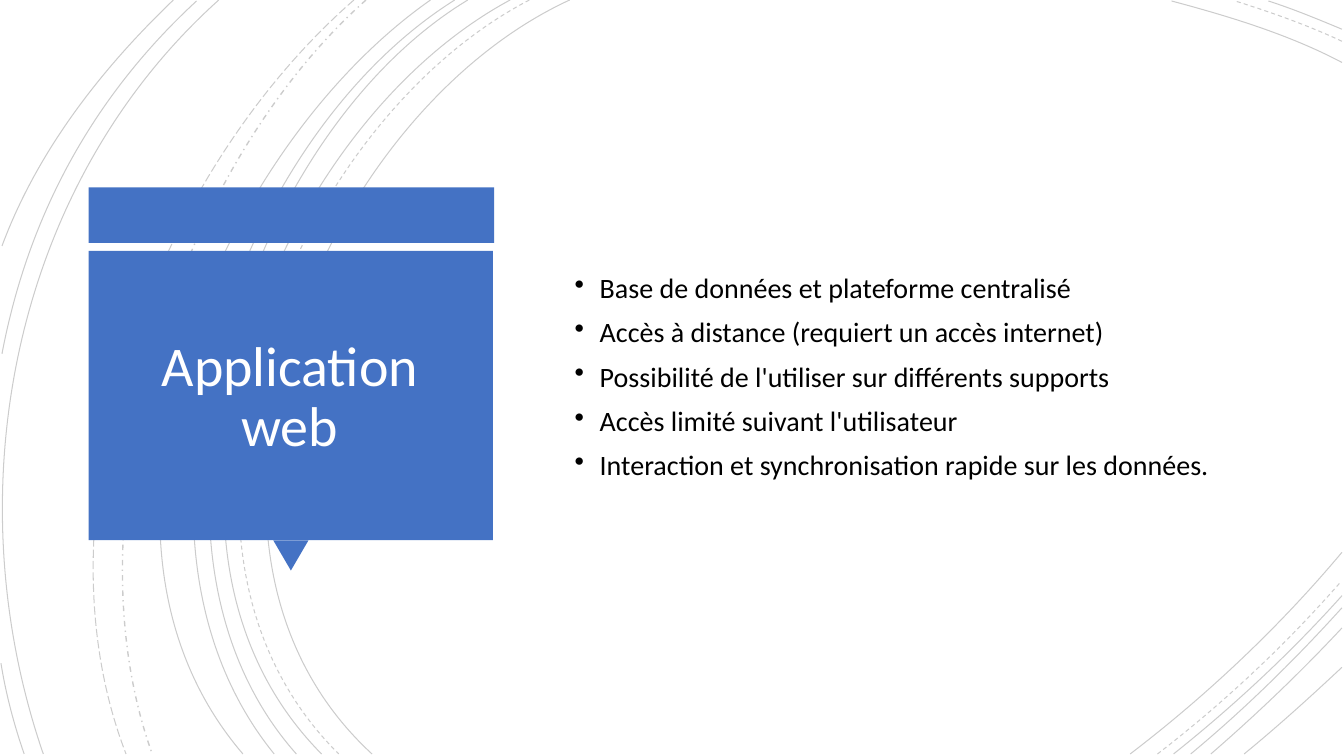
from pptx import Presentation
from pptx.dml.color import RGBColor
from pptx.enum.dml import MSO_LINE
from pptx.enum.shapes import MSO_SHAPE
from pptx.enum.text import MSO_ANCHOR, PP_ALIGN
from pptx.oxml.ns import qn
from pptx.util import Inches, Pt

RECT, WEDGE = MSO_SHAPE.RECTANGLE, MSO_SHAPE.ISOSCELES_TRIANGLE
SOLID, DASH = MSO_LINE.SOLID, MSO_LINE.DASH
LONG, DOT = MSO_LINE.LONG_DASH, MSO_LINE.DASH_DOT
MIDDLE, LEFT, CENTER = MSO_ANCHOR.MIDDLE, PP_ALIGN.LEFT, PP_ALIGN.CENTER
COLS, ROWS = 13.33, 7.5  # grid cells are one inch square
BASE = 7.48  # row where the curves leave the slide


def paint(code):
    return RGBColor.from_string(code)


def grid(*cells):
    return [Inches(cell) for cell in cells]


class Page:
    font, ink, paper, blue = "Calibri", "000000", "FFFFFF", "4472C4"
    alpha = "20000"

    def __init__(self, deck):
        self.slide = deck.slides.add_slide(deck.slide_layouts[6])
        self.shapes = self.slide.shapes
        fill = self.slide.background.fill
        fill.solid()
        fill.fore_color.rgb = paint(self.paper)

    def curve(self, points, dash, width):
        """Draw one cubic curve: start, two handles, end."""
        start, *rest = [grid(*point) for point in points]
        pen = self.shapes.build_freeform(*start)
        pen.add_line_segments(rest, close=False)
        shape = pen.convert_to_shape()
        shape.shadow.inherit = False
        shape.fill.background()
        line = shape.line
        line.color.rgb = paint(self.ink)
        line.width, line.dash_style = Pt(width), dash
        node = shape._element
        tint = next(node.iter(qn("a:srgbClr")))
        tint.append(tint.makeelement(qn("a:alpha"), {"val": self.alpha}))
        # Turn the three segments into one Bezier
        track = next(node.iter(qn("a:path")))
        bend = track.makeelement(qn("a:cubicBezTo"), {})
        for part in track.findall(qn("a:lnTo")):
            bend.append(part[0])
            track.remove(part)
        track.append(bend)

    def block(self, kind, box, turn=0):
        shape = self.shapes.add_shape(kind, *grid(*box))
        shape.shadow.inherit = False
        shape.fill.solid()
        shape.fill.fore_color.rgb = paint(self.blue)
        shape.line.fill.background()
        shape.rotation = turn

    def text(self, box, lines, size, color, align=LEFT, gap=0, bullet=None):
        frame = self.shapes.add_textbox(*grid(*box)).text_frame
        frame.word_wrap = True
        frame.vertical_anchor = MIDDLE
        frame.text = "\n".join(lines)
        for para in frame.paragraphs:
            para.alignment = align
            para.line_spacing, para.space_before = 0.9, Pt(gap)
            if bullet:
                self.mark(para, bullet)
            font = para.font
            font.name, font.size = self.font, Pt(size)
            font.color.rgb = paint(color)

    def mark(self, para, sign):
        props = para._p.get_or_add_pPr()
        indent = Inches(0.25)
        props.set("marL", str(indent))
        props.set("indent", str(-indent))
        props.append(props.makeelement(qn("a:buChar"), {"char": sign}))


# Long arcs from the top edge to the bottom edge:
# top x, first handle x and y, second handle x and y, bottom x, dash, width
ARCS = [
    (5.65, 3.15, 1.15, 1.43, 5.4, 3.69, SOLID, 0.75),
    (5.25, 2.85, 1.25, 1.23, 5.37, 3.36, DASH, 0.75),
    (5.06, 2.7, 1.27, 1.1, 5.37, 3.19, SOLID, 0.75),
    (4.64, 2.44, 1.33, 1.1, 5.41, 2.94, SOLID, 0.75),
    (4.51, 2.31, 1.38, 0.97, 5.33, 2.72, SOLID, 0.75),
    (4.27, 2.17, 1.47, 0.53, 5.29, 2.41, SOLID, 0.75),
    (3.63, 1.76, 1.66, 0.65, 5.09, 1.51, DOT, 1),
    (3.51, 1.57, 1.69, 0.29, 4.99, 1.25, LONG, 0.75),
    (2.17, 0.11, 1.85, -0.46, 4.9, 0.43, SOLID, 0.75),
]

# Short arcs cut off by the slide corners
CORNERS = [
    # top right
    ([(13.31, 0.62), (12.78, 0.34), (12.18, 0.16), (11.62, 0.01)], SOLID),
    ([(13.31, 0.41), (12.97, 0.25), (12.6, 0.12), (12.25, 0.01)], DASH),
    ([(13.31, 0.29), (13.07, 0.19), (12.83, 0.09), (12.58, 0.01)], SOLID),
    # bottom right
    ([(11.21, BASE), (11.97, 6.9), (12.69, 6.22), (13.31, 5.48)], SOLID),
    ([(11.48, BASE), (12.13, 6.98), (12.75, 6.4), (13.3, 5.77)], DASH),
    ([(11.64, BASE), (12.23, 7.01), (12.8, 6.48), (13.31, 5.91)], SOLID),
    ([(11.81, BASE), (12.34, 7.04), (12.84, 6.55), (13.31, 6.03)], SOLID),
    ([(12.01, BASE), (12.46, 7.09), (12.9, 6.67), (13.31, 6.23)], SOLID),
    ([(12.34, BASE), (12.67, 7.21), (12.99, 6.92), (13.31, 6.62)], SOLID),
    # left edge
    ([(1.95, 0.01), (0.92, 0.96), (0.28, 2.14), (0.02, 3.51)], SOLID),
    ([(0.01, 6.58), (0.06, 6.89), (0.14, 7.19), (0.24, BASE)], SOLID),
    ([(1.72, 0), (1, 0.69), (0.37, 1.5), (0.02, 2.44)], SOLID),
]

POINTS = [
    "Base de données et plateforme centralisé",
    "Accès à distance (requiert un accès internet)",
    "Possibilité de l'utiliser sur différents supports",
    "Accès limité suivant l'utilisateur",
    "Interaction et synchronisation rapide sur les données.",
]

deck = Presentation()
deck.slide_width, deck.slide_height = grid(COLS, ROWS)
page = Page(deck)

# Background curves
for top, ax, ay, bx, by, end, dash, width in ARCS:
    page.curve([(top, 0), (ax, ay), (bx, by), (end, BASE)], dash, width)
for points, dash in CORNERS:
    page.curve(points, dash, 0.75)

# Title callout
page.block(RECT, (0.88, 1.86, 4.02, 0.55))
page.block(WEDGE, (2.71, 5.36, 0.35, 0.3), turn=180)
page.block(RECT, (0.88, 2.49, 4.01, 2.87))
page.text((0.99, 2.64, 3.77, 2.62), ["Application web"], 40, page.paper, CENTER)

# Key points
page.text((5.6, 0.88, 6.87, 5.74), POINTS, 20, page.ink, gap=10, bullet="•")

deck.save("out.pptx")
